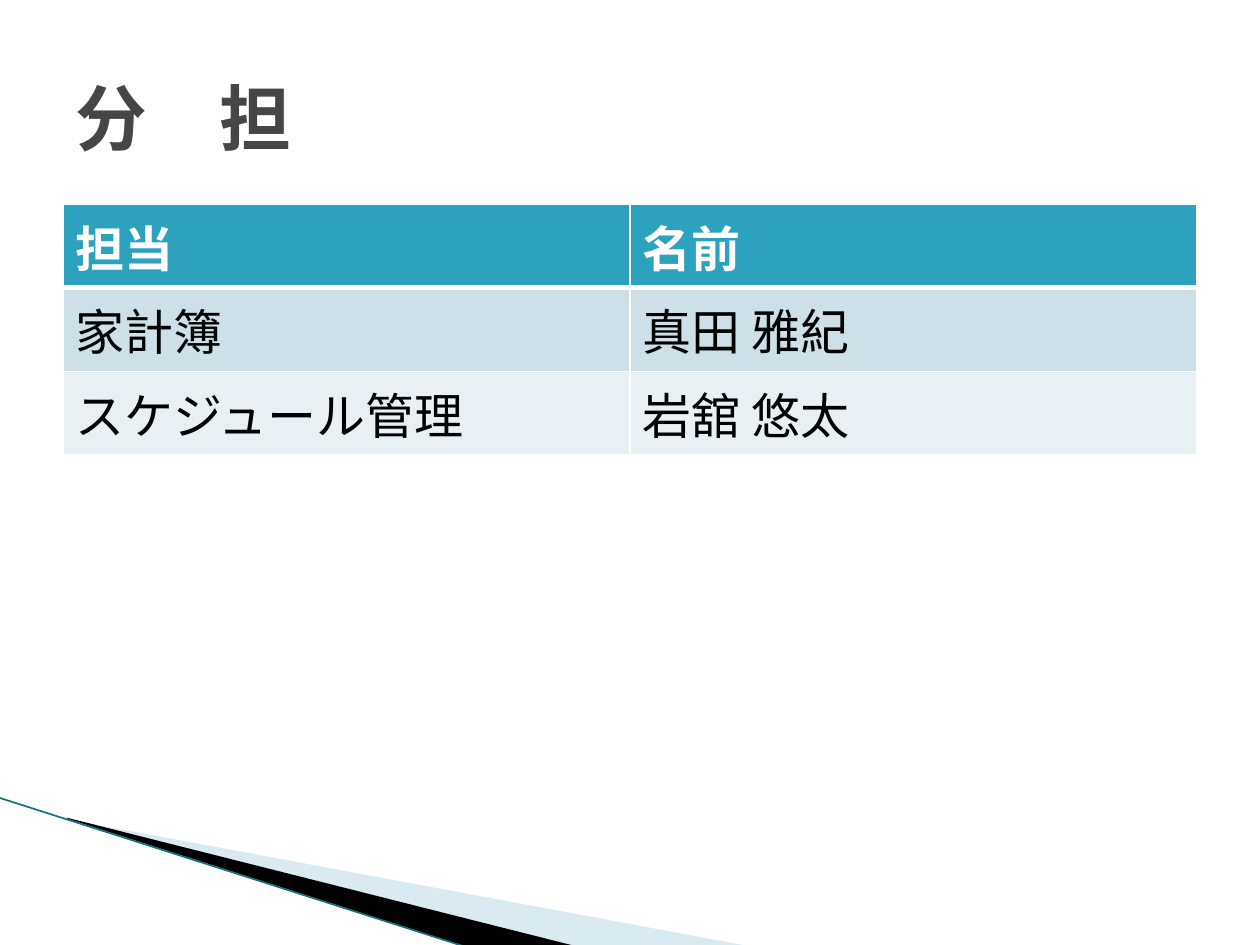
from dataclasses import dataclass

from lxml import etree
from pptx import Presentation
from pptx.dml.color import RGBColor
from pptx.enum.text import MSO_ANCHOR, MSO_AUTO_SIZE, PP_ALIGN
from pptx.enum.shapes import MSO_CONNECTOR
from pptx.oxml.ns import qn
from pptx.util import Pt

LEFT = PP_ALIGN.LEFT
MIDDLE = MSO_ANCHOR.MIDDLE
NO_AUTOFIT = MSO_AUTO_SIZE.NONE
STRAIGHT = MSO_CONNECTOR.STRAIGHT


@dataclass(frozen=True)
class Theme:
    font: str = "Courier New"
    title_size: float = 41
    table_size: float = 28
    title: str = "464646"
    header: str = "2DA2BF"
    bands: tuple = ("CDE0E8", "E8F0F4")
    white: str = "FFFFFF"
    black: str = "000000"
    pale_wedge: str = "A0CBDC"
    edge: str = "17707F"


THEME = Theme()
ASSIGNMENTS = [
    ("担当", "名前"),
    ("家計簿", "真田 雅紀"),
    ("スケジュール管理", "岩舘 悠太"),
]


def write(frame, text, *, size, color, bold=False):
    paragraph = frame.paragraphs[0]
    paragraph.alignment = LEFT
    run = paragraph.add_run()
    run.text = text
    run.font.name = THEME.font
    run.font.size = Pt(size)
    run.font.bold = bold
    run.font.color.rgb = RGBColor.from_string(color)


def add_wedge(slide, left, top, points, color, opacity=100):
    corners = [(Pt(left + x), Pt(top + y)) for x, y in points]
    builder = slide.shapes.build_freeform(*corners[0])
    builder.add_line_segments(corners[1:], close=True)
    wedge = builder.convert_to_shape()
    wedge.shadow.inherit = False
    wedge.line.fill.background()
    wedge.fill.solid()
    wedge.fill.fore_color.rgb = RGBColor.from_string(color)
    if opacity < 100:
        tint = wedge.fill._xPr.find(qn("a:solidFill"))[0]
        etree.SubElement(tint, qn("a:alpha"), val=str(opacity * 1000))


def add_corner_decoration(slide, left, top, width, height):
    # Two wedges fanning out from the left, with a thin line beneath
    add_wedge(slide, left, top,
              [(39.6, 12.4), (width, height), (328.3, height), (39.6, 12)],
              THEME.pale_wedge, opacity=40)
    add_wedge(slide, left, top,
              [(38.2, 11.3), (329, height), (267.8, height + 0.7), (38.9, 12)],
              THEME.black)
    edge = slide.shapes.add_connector(
        STRAIGHT, Pt(left - 0.7), Pt(top - 0.2),
        Pt(left + 267.1), Pt(top + height + 0.7))
    edge.line.width = Pt(0.95)
    edge.line.color.rgb = RGBColor.from_string(THEME.edge)
    etree.SubElement(edge.line._ln.getparent(), qn("a:effectLst"))


def place_title(slide, left, top, width, height, text):
    title = slide.shapes.title
    title.left, title.top = Pt(left), Pt(top)
    title.width, title.height = Pt(width), Pt(height)
    title.text_frame.vertical_anchor = MIDDLE
    title.text_frame.auto_size = NO_AUTOFIT
    write(title.text_frame, text, size=THEME.title_size,
          color=THEME.title, bold=True)


def set_borders(cell, widths):
    properties = cell._tc.get_or_add_tcPr()
    for side, width in widths.items():
        border = etree.SubElement(properties, qn(f"a:ln{side}"), w=str(Pt(width)))
        fill = etree.SubElement(border, qn("a:solidFill"))
        etree.SubElement(fill, qn("a:srgbClr"), val=THEME.white)


def add_assignment_table(slide, left, top, width, height, rows):
    table = slide.shapes.add_table(
        len(rows), len(rows[0]), Pt(left), Pt(top), Pt(width), Pt(height)).table
    for r, row in enumerate(rows):
        header = r == 0
        fill = THEME.header if header else THEME.bands[(r - 1) % 2]
        for c, text in enumerate(row):
            cell = table.cell(r, c)
            # The rule under the header is thicker than the others
            set_borders(cell, {"L": 1, "R": 1, "T": 3 if r == 1 else 1,
                               "B": 3 if header else 1})
            cell.fill.solid()
            cell.fill.fore_color.rgb = RGBColor.from_string(fill)
            write(cell.text_frame, text, size=THEME.table_size, bold=header,
                  color=THEME.white if header else THEME.black)


def main():
    deck = Presentation()
    deck.slide_width, deck.slide_height = Pt(720), Pt(540)
    slide = deck.slides.add_slide(deck.slide_layouts[5])
    add_corner_decoration(slide, 0, 456, 428.4, 84.7)
    place_title(slide, 36, 21.6, 648, 90, "分　担")
    add_assignment_table(slide, 36, 116.8, 648, 142.2, ASSIGNMENTS)
    deck.save("out.pptx")


if __name__ == "__main__":
    main()
